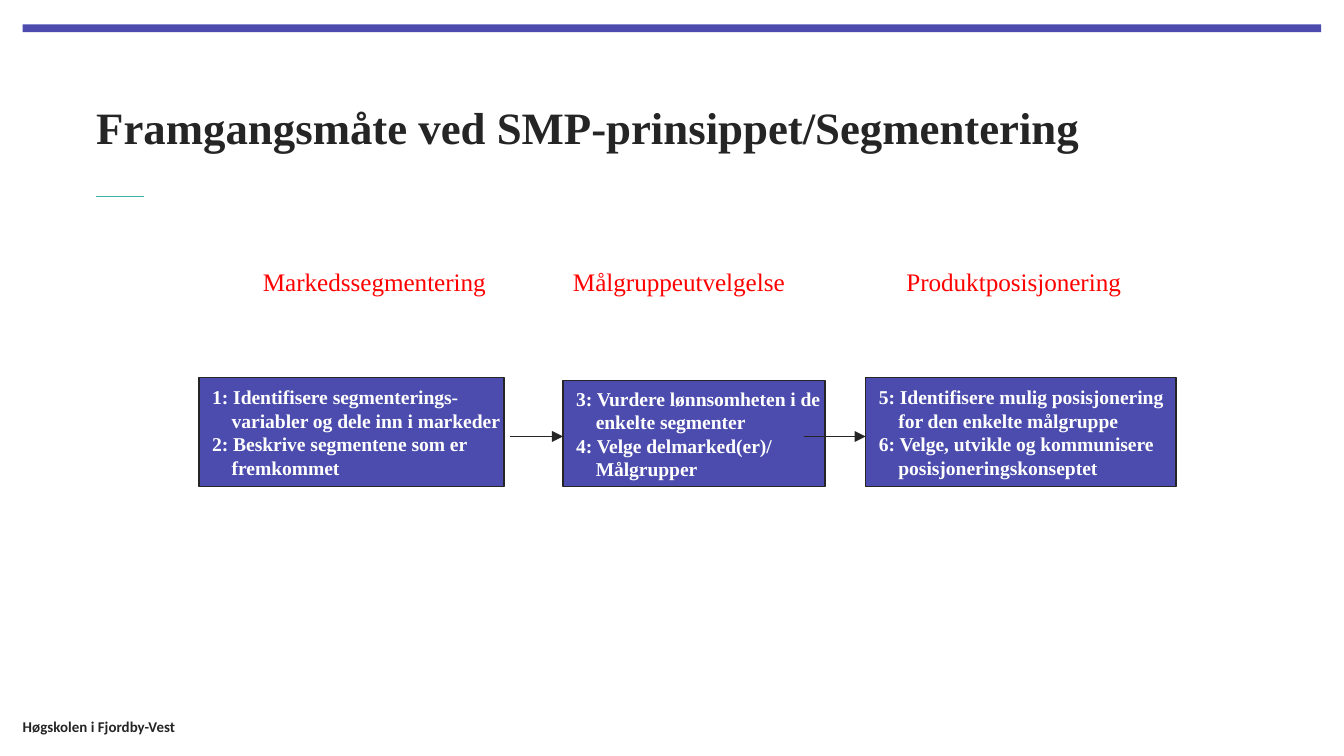
from lxml.etree import SubElement
from pptx import Presentation
from pptx.dml.color import RGBColor
from pptx.enum.shapes import MSO_CONNECTOR, MSO_SHAPE
from pptx.enum.text import MSO_ANCHOR, PP_ALIGN
from pptx.oxml.ns import qn
from pptx.util import Cm, Pt

INDIGO = RGBColor(0x4B, 0x4C, 0xAD)
TEAL = RGBColor(0x3B, 0xAF, 0xA2)
INK = RGBColor(0x25, 0x25, 0x25)
RED = RGBColor(0xFF, 0x00, 0x00)
WHITE = RGBColor(0xFF, 0xFF, 0xFF)
SERIF = "Times New Roman"

# Heading, heading left and width, box left, top and width, box lines
STAGES = [
    ("Markedssegmentering", 4.78, 4.78, 3.76, 7.14, 5.77,
     ["1: Identifisere segmenterings-", "variabler og dele inn i markeder",
      "2: Beskrive segmentene som er", "fremkommet"]),
    ("Målgruppeutvelgelse", 10.64, 4.42, 10.64, 7.19, 4.95,
     ["3: Vurdere lønnsomheten i de", "enkelte segmenter",
      "4: Velge delmarked(er)/", "Målgrupper"]),
    ("Produktposisjonering", 16.94, 4.75, 16.36, 7.14, 5.87,
     ["5: Identifisere mulig posisjonering", "for den enkelte målgruppe",
      "6: Velge, utvikle og kommunisere", "posisjoneringskonseptet"]),
]
BOX_BOTTOM = 9.2
ARROW_Y = 8.25
ARROWS = [(9.63, 10.64), (15.19, 16.36)]


def style_paragraph(para, size, color, bold, font):
    para.alignment = PP_ALIGN.LEFT
    para.font.name = font
    para.font.size = Pt(size)
    para.font.bold = bold
    para.font.color.rgb = color


def add_text(page, text, left, top, width, height, size, color=INK,
             bold=True, font=SERIF, inset=(0, 0), anchor=MSO_ANCHOR.MIDDLE):
    box = page.shapes.add_textbox(Cm(left), Cm(top), Cm(width), Cm(height))
    frame = box.text_frame
    frame.word_wrap = True
    frame.vertical_anchor = anchor
    frame.margin_left = frame.margin_right = Cm(inset[0])
    frame.margin_top = frame.margin_bottom = Cm(inset[1])
    frame.text = text
    style_paragraph(frame.paragraphs[0], size, color, bold, font)


def add_rectangle(page, left, top, width, height):
    box = page.shapes.add_shape(MSO_SHAPE.RECTANGLE, Cm(left), Cm(top),
                                Cm(width), Cm(height))
    box.shadow.inherit = False
    box.fill.solid()
    box.fill.fore_color.rgb = INDIGO
    box.line.fill.background()
    return box


def add_step_box(page, left, top, width, lines):
    """Draw an outlined box; lines without a step number are indented."""
    box = add_rectangle(page, left, top, width, BOX_BOTTOM - top)
    box.line.color.rgb = INK
    box.line.width = Pt(0.75)
    frame = box.text_frame
    frame.word_wrap = False
    frame.vertical_anchor = MSO_ANCHOR.MIDDLE
    frame.text = "\n".join(lines)
    for para in frame.paragraphs:
        style_paragraph(para, 10.5, WHITE, True, SERIF)
        if not para.text[0].isdigit():
            para._p.get_or_add_pPr().set("marL", str(Cm(0.37)))


def add_line(page, start, end, y, color, width, arrow=False):
    line = page.shapes.add_connector(MSO_CONNECTOR.STRAIGHT, Cm(start), Cm(y),
                                     Cm(end), Cm(y))
    line.line.color.rgb = color
    line.line.width = Pt(width)
    if arrow:
        SubElement(line.line._get_or_add_ln(), qn("a:tailEnd"), type="triangle")
    SubElement(line._element.spPr, qn("a:effectLst"))


def main():
    deck = Presentation()
    deck.slide_width, deck.slide_height = Cm(25.4), Cm(14.29)
    page = deck.slides.add_slide(deck.slide_layouts[6])

    add_text(page, "Høgskolen i Fjordby-Vest", 0.43, 13.36, 4.6, 0.76, 8,
             font="Calibri")
    add_rectangle(page, 0.43, 0.46, 24.54, 0.15)
    add_line(page, 1.82, 2.72, 3.71, TEAL, 0.5)
    add_text(page, "Framgangsmåte ved SMP-prinsippet/Segmentering",
             1.82, 1.2, 22.12, 2.39, 24)

    for heading, text_left, text_width, left, top, width, lines in STAGES:
        add_text(page, heading, text_left, 4.93, text_width, 0.76, 13.5, RED,
                 bold=False, inset=(0.19, 0.1), anchor=MSO_ANCHOR.TOP)
        add_step_box(page, left, top, width, lines)
    for start, end in ARROWS:
        add_line(page, start, end, ARROW_Y, INK, 0.75, arrow=True)

    deck.save("out.pptx")


if __name__ == "__main__":
    main()
